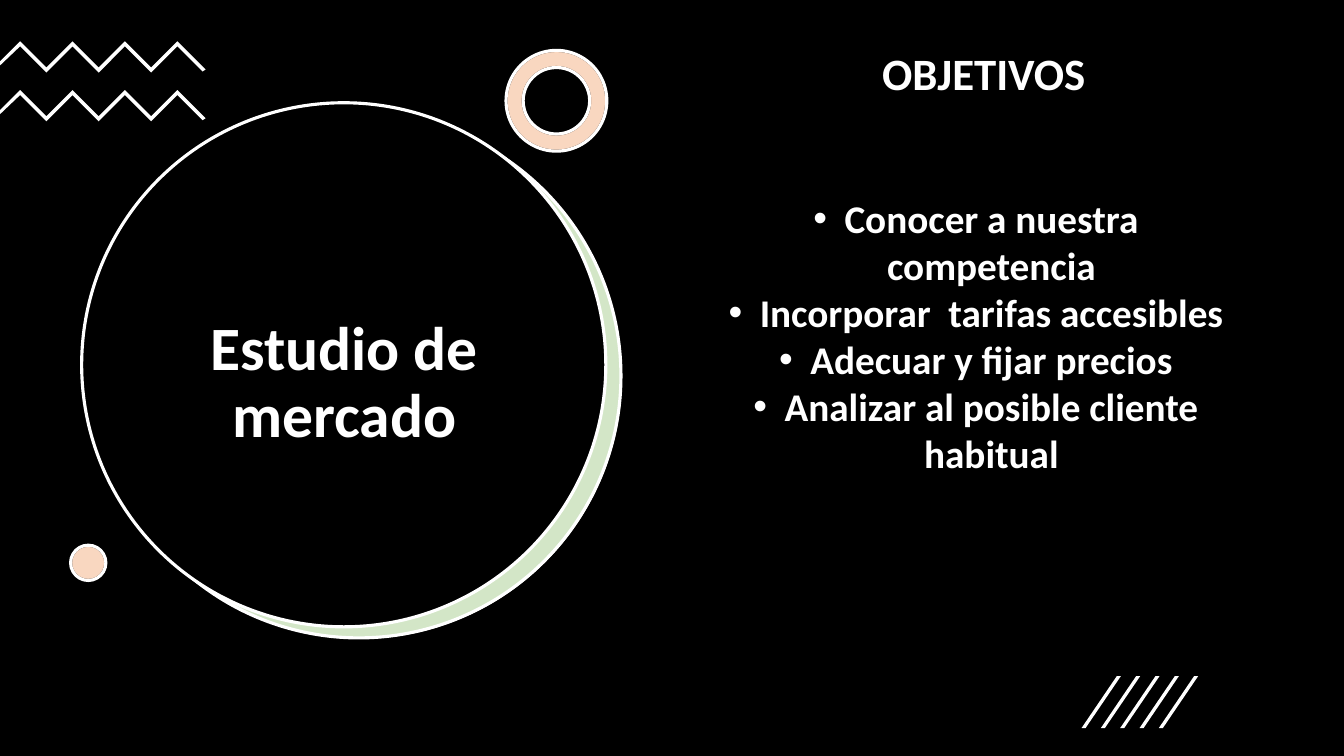
from lxml import etree
from pptx import Presentation
from pptx.dml.color import RGBColor
from pptx.enum.shapes import MSO_SHAPE
from pptx.enum.text import MSO_ANCHOR, PP_ALIGN
from pptx.oxml.ns import qn
from pptx.util import Inches, Pt

RECT = MSO_SHAPE.RECTANGLE
OVAL = MSO_SHAPE.OVAL
RING = MSO_SHAPE.DONUT
MIDDLE = MSO_ANCHOR.MIDDLE
CENTER = PP_ALIGN.CENTER

BLACK = "000000"
WHITE = "FFFFFF"
GREEN = "70AD47"
ORANGE = "ED7D31"


def color(code):
    return RGBColor.from_string(code)


class Deck:
    font = "Calibri"
    ink = WHITE
    stroke = 2.25
    cols = 80

    def __init__(self, width, height):
        self.file = Presentation()
        self.file.slide_width = Inches(width)
        self.file.slide_height = Inches(height)
        self.cell = self.file.slide_width / self.cols
        self.rows = self.file.slide_height / self.cell
        self.slide = self.file.slides.add_slide(self.file.slide_layouts[6])

    def size(self, *cells):
        return [round(cell * self.cell) for cell in cells]

    def paint(self, shape, fill, line=None, alpha=None):
        shape.shadow.inherit = False
        shape.fill.solid()
        shape.fill.fore_color.rgb = color(fill)
        if alpha:
            tint = shape.fill._xPr.find(qn("a:solidFill"))[0]
            etree.SubElement(tint, qn("a:alpha")).set("val", str(alpha * 1000))
        if line:
            shape.line.color.rgb = color(line)
            shape.line.width = Pt(self.stroke)
        else:
            shape.line.fill.background()

    def shape(self, kind, box, fill, line=None, alpha=None):
        item = self.slide.shapes.add_shape(kind, *self.size(*box))
        self.paint(item, fill, line, alpha)
        return item

    def group(self, outlines):
        shapes = self.slide.shapes.add_group_shape().shapes
        for points in outlines:
            first, *rest = [self.size(*point) for point in points]
            path = shapes.build_freeform(*first)
            path.add_line_segments(rest)
            self.paint(path.convert_to_shape(), self.ink)

    def text(self, box, lines, points, spacing=None, bullet=None, base=None):
        frame = self.slide.shapes.add_textbox(*self.size(*box)).text_frame
        frame.word_wrap = True
        frame.vertical_anchor = MIDDLE
        if base:
            frame.margin_bottom = self.size(base)[0]
        for i, line in enumerate(lines):
            para = frame.add_paragraph() if i else frame.paragraphs[0]
            para.alignment = CENTER
            if spacing:
                para.line_spacing = spacing
            if bullet:
                self.mark(para, bullet)
            run = para.add_run()
            run.text = line
            run.font.name = self.font
            run.font.size = Pt(points)
            run.font.bold = True
            run.font.color.rgb = color(self.ink)

    def mark(self, para, bullet):
        indent = Inches(0.31)
        props = para._p.get_or_add_pPr()
        props.set("marL", str(indent))
        props.set("indent", str(-indent))
        etree.SubElement(props, qn("a:buFont")).set("typeface", "Arial")
        etree.SubElement(props, qn("a:buChar")).set("char", bullet)


def zigzag(top):
    step, thick = 1.56, 0.3
    peaks = [(1.2 + step * i, top + step * (i % 2)) for i in range(7)]
    under = [(x, y + thick) for x, y in reversed(peaks)]
    tip = [(12.24, top + 1.68), (12.06, top + 1.8)]
    return peaks + tip + under + [(0, top + 1.44), (0, top + 1.2)]


def slash(left):
    top, base = 40.26, 43.35
    return [(left + 0.24, base), (left, base), (left + 2.1, top), (left + 2.34, top)]


def main():
    deck = Deck(13.33, 7.5)
    deck.shape(RECT, (0, 0, deck.cols, deck.rows), BLACK)
    deck.shape(OVAL, (5.82, 6.84, 31.2, 31.2), WHITE)
    deck.shape(OVAL, (5.76, 6.78, 31.2, 31.2), GREEN, WHITE, 30)
    deck.shape(OVAL, (4.86, 6.12, 31.2, 31.2), BLACK, WHITE)
    deck.text((7.26, 12.3, 26.46, 21.12), ["Estudio de mercado"], 44, spacing=0.9)

    deck.group([zigzag(2.46 + 2.9 * i) for i in range(2)])

    accents = [(RING, (30.12, 3, 6, 6)), (OVAL, (4.2, 32.46, 2.1, 2.1))]
    layers = [(WHITE, BLACK, None), (ORANGE, WHITE, 30)]
    for kind, box in accents:
        for layer in layers:
            accent = deck.shape(kind, box, *layer)
            if kind == RING:
                accent.adjustments[0] = 0.17

    deck.group([slash(64.38 + 1.15 * i) for i in range(5)])

    deck.text((42.96, 2.1, 31.2, 4.44), ["OBJETIVOS"], 32)
    goals = [
        "Conocer a nuestra competencia",
        "Incorporar  tarifas accesibles",
        "Adecuar y fijar precios",
        "Analizar al posible cliente habitual",
    ]
    deck.text((41.7, 5.64, 32.76, 30.48), goals, 28, bullet="•", base=2.1)
    deck.file.save("out.pptx")


if __name__ == "__main__":
    main()
